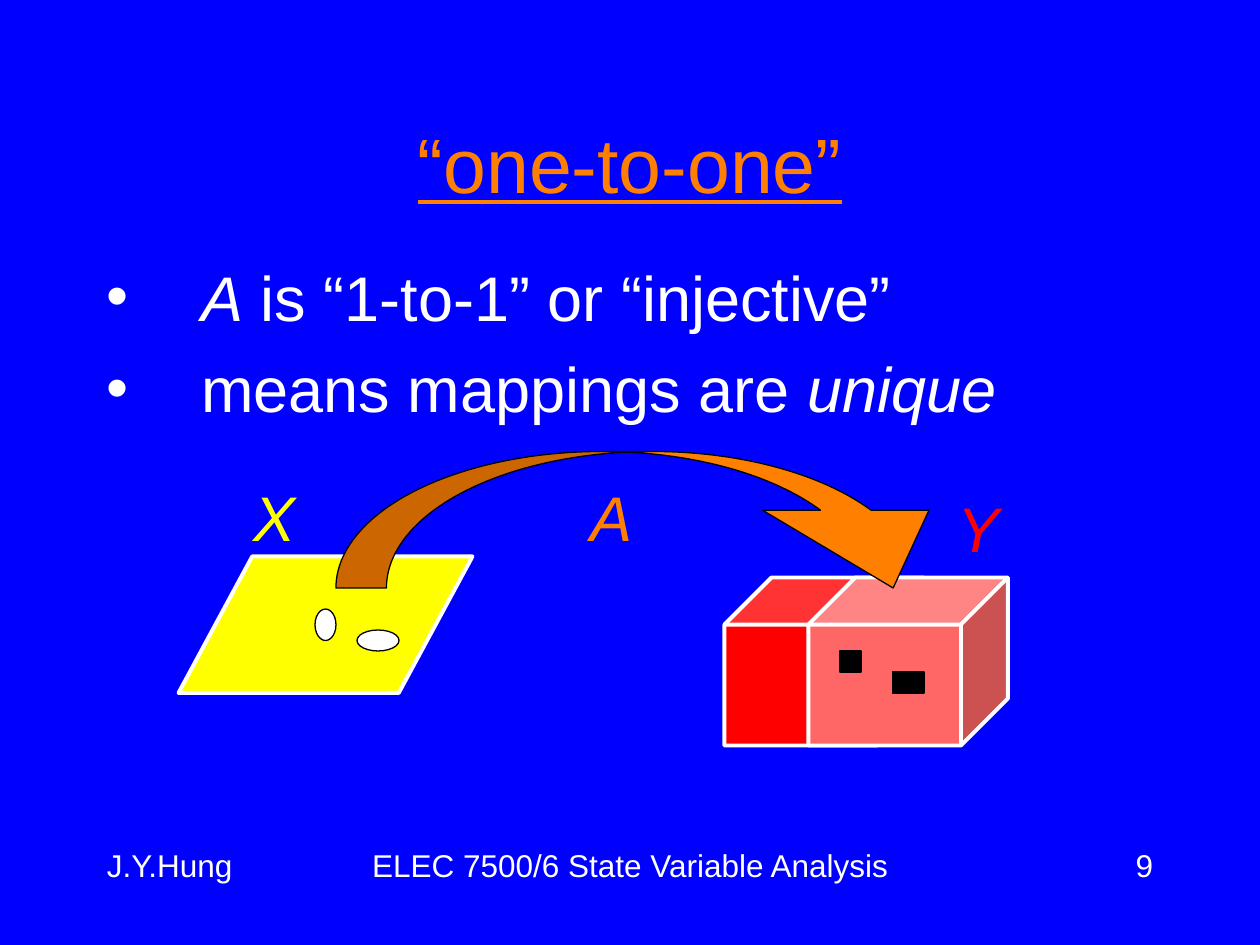
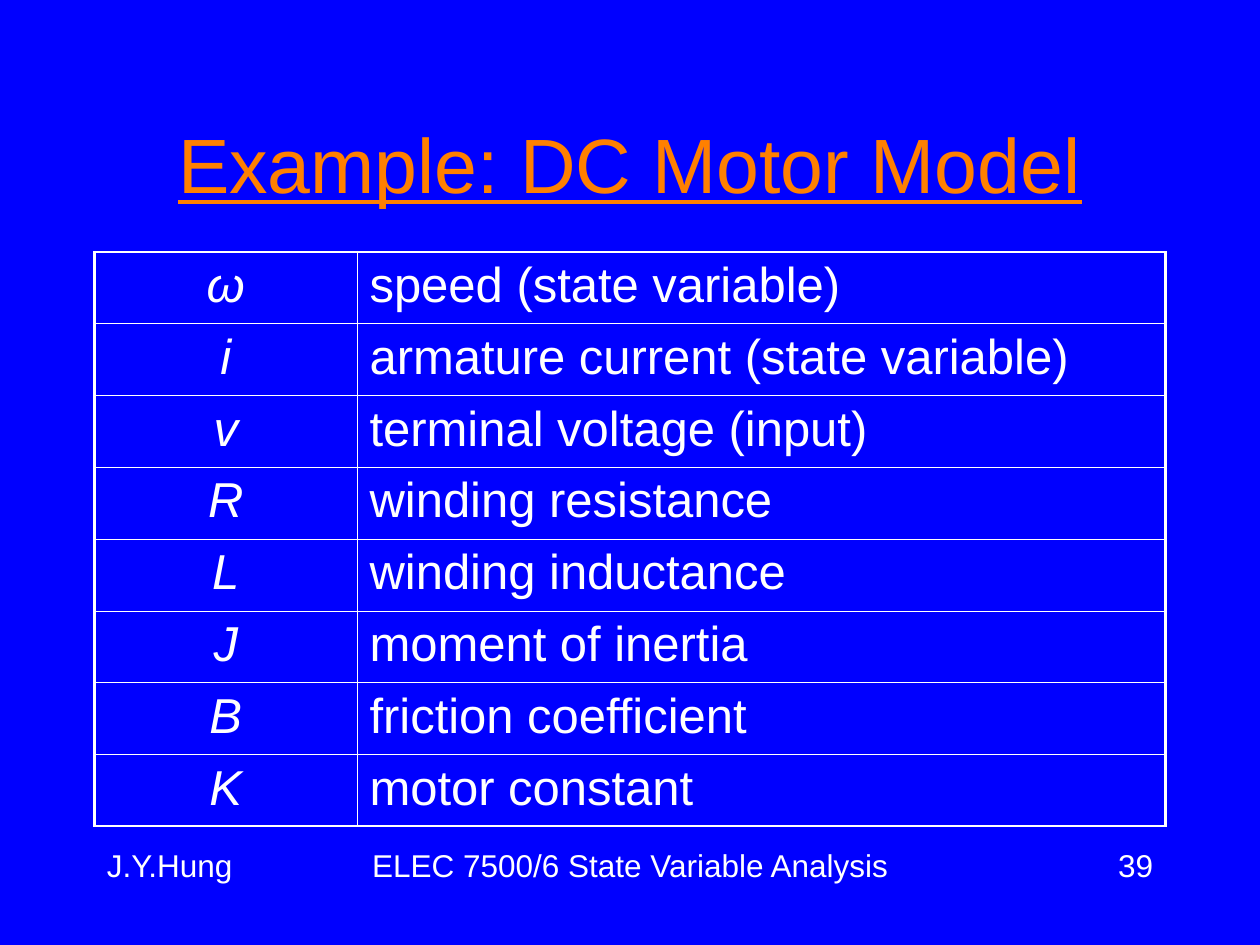
"""Build two lecture slides: an injective mapping diagram and a motor symbol table."""
from dataclasses import dataclass

from lxml import etree
from pptx import Presentation
from pptx import util as u
from pptx.dml.color import RGBColor
from pptx.enum import shapes, text
from pptx.oxml.ns import qn

Pt = u.Pt
SHAPE = shapes.MSO_SHAPE
LEFT, CENTER, RIGHT = text.PP_ALIGN.LEFT, text.PP_ALIGN.CENTER, text.PP_ALIGN.RIGHT


@dataclass(frozen=True)
class Theme:
    font: str = "Arial"
    blue: str = "0000FF"
    white: str = "FFFFFF"
    black: str = "000000"
    orange: str = "FF8000"
    yellow: str = "FFFF00"
    red: str = "FF0000"
    pink: str = "FF6666"
    title_size: float = 44
    body_size: float = 36
    table_size: float = 28
    footer_size: float = 18
    heavy_line: float = 2.25
    thin_line: float = 0.75
    table_edge: float = 1.47
    table_rule: float = 0.45


THEME = Theme()
MARGIN = 54
CONTENT_WIDTH = 612
CONTENT_TOP = 144
BULLETS = [
    [("A", True), (" is “1-to-1” or “injective”", False)],
    [("means mappings are ", False), ("unique", True)],
]
SYMBOLS = [
    ("ω", "speed (state variable)"),
    ("i", "armature current (state variable)"),
    ("v", "terminal voltage (input)"),
    ("R", "winding resistance"),
    ("L", "winding inductance"),
    ("J", "moment of inertia"),
    ("B", "friction coefficient"),
    ("K", "motor constant"),
]


def color(value):
    return RGBColor.from_string(value)


def format_span(span, size, fill=THEME.white, italic=False, underline=False):
    span.font.name = THEME.font
    span.font.size = Pt(size)
    span.font.color.rgb = color(fill)
    span.font.italic = italic
    span.font.underline = underline


def add_box(page, left, top, width, height, wrap=True):
    box = page.shapes.add_textbox(Pt(left), Pt(top), Pt(width), Pt(height))
    box.text_frame.word_wrap = wrap
    return box.text_frame


def add_label(page, words, bounds, size, fill=THEME.white, align=LEFT, wrap=True, **style):
    frame = add_box(page, *bounds, wrap=wrap)
    frame.text = words
    para = frame.paragraphs[0]
    para.alignment = align
    format_span(para.runs[0], size, fill, **style)
    return frame


def add_page(deck, title, number):
    page = deck.slides.add_slide(deck.slide_layouts[6])
    frame = add_label(page, title, (MARGIN, 48, CONTENT_WIDTH, 90), THEME.title_size,
                      THEME.orange, CENTER, underline=True)
    frame.vertical_anchor = text.MSO_ANCHOR.MIDDLE
    footers = [
        ("J.Y.Hung", MARGIN, 90, LEFT),
        ("ELEC 7500/6 State Variable Analysis", 168, 384, CENTER),
        (str(number), 612, 54, RIGHT),
    ]
    for words, left, width, align in footers:
        add_label(page, words, (left, 480, width, 36), THEME.footer_size, align=align)
    return page


def add_bullets(page, items):
    frame = add_box(page, MARGIN, CONTENT_TOP, CONTENT_WIDTH, 324)
    for index, spans in enumerate(items):
        para = frame.add_paragraph() if index else frame.paragraphs[0]
        properties = para._p.get_or_add_pPr()
        properties.set("marL", str(Pt(54)))
        properties.set("indent", str(-Pt(54)))
        etree.SubElement(properties, qn("a:buFont"), typeface=THEME.font)
        etree.SubElement(properties, qn("a:buChar"), char="•")
        if index:
            para.space_before = Pt(9)
        for words, italic in spans:
            span = para.add_run()
            span.text = words
            format_span(span, THEME.body_size, italic=italic)


def add_figure(page, kind, bounds, fill, line, width, adjustments=()):
    figure = page.shapes.add_shape(kind, *map(Pt, bounds))
    figure.shadow.inherit = False
    figure.fill.solid()
    figure.fill.fore_color.rgb = color(fill)
    figure.line.color.rgb = color(line)
    figure.line.width = Pt(width)
    for index, value in enumerate(adjustments):
        figure.adjustments[index] = value


def add_mapping(page):
    """Draw the arrow A that carries points of plane X into the block Y."""
    t = THEME
    for left, fill in ((414, t.red), (462, t.pink)):
        add_figure(page, SHAPE.CUBE, (left, 330, 114, 96), fill, t.white, t.heavy_line, [0.28])
    add_figure(page, SHAPE.PARALLELOGRAM, (102, 318, 168, 78), t.yellow, t.white,
               t.heavy_line, [0.54])
    add_figure(page, SHAPE.CURVED_DOWN_ARROW, (192, 258, 366, 78), t.orange, t.black,
               t.thin_line, [0.37, 1.22, 0.57])
    for name, left, top, fill in (("X", 138, 270, t.yellow), ("Y", 540, 276, t.red),
                                  ("A", 330.5, 270, t.orange)):
        add_label(page, name, (left, top, 38.4, 50.4), t.body_size, fill,
                  wrap=False, italic=True)
    for bounds in ((180, 348, 12, 18), (204, 360, 24, 12)):
        add_figure(page, SHAPE.OVAL, bounds, t.white, t.black, t.thin_line)
    for bounds in ((480, 372, 12, 12), (510, 384, 18, 12)):
        add_figure(page, SHAPE.RECTANGLE, bounds, t.black, t.black, t.thin_line)


def set_borders(cell, outer_sides):
    properties = cell._tc.get_or_add_tcPr()
    for index, side in enumerate("LRTB"):
        width = THEME.table_edge if side in outer_sides else THEME.table_rule
        line = etree.Element(qn(f"a:ln{side}"), w=str(Pt(width)))
        fill = etree.SubElement(line, qn("a:solidFill"))
        etree.SubElement(fill, qn("a:srgbClr"), val=THEME.white)
        properties.insert(index, line)


def add_symbol_table(page, rows):
    row_height = 41.04
    table = page.shapes.add_table(len(rows), 2, Pt(MARGIN), Pt(CONTENT_TOP),
                                  Pt(CONTENT_WIDTH), Pt(row_height * len(rows))).table
    table.first_row = table.horz_banding = False
    for column, width in zip(table.columns, (150, 462)):
        column.width = Pt(width)
    for r, row in enumerate(rows):
        table.rows[r].height = Pt(row_height)
        for c, words in enumerate(row):
            cell = table.cell(r, c)
            cell.text = words
            cell.fill.background()
            para = cell.text_frame.paragraphs[0]
            para.alignment = LEFT if c else CENTER
            format_span(para.runs[0], THEME.table_size, italic=c == 0)
            outer_sides = "R" if c else "L"
            if r == 0:
                outer_sides += "T"
            if r == len(rows) - 1:
                outer_sides += "B"
            set_borders(cell, outer_sides)


def main():
    deck = Presentation()
    deck.slide_width, deck.slide_height = Pt(720), Pt(540)
    background = deck.slide_master.background.fill
    background.solid()
    background.fore_color.rgb = color(THEME.blue)

    page = add_page(deck, "“one-to-one”", 9)
    add_bullets(page, BULLETS)
    add_mapping(page)

    page = add_page(deck, "Example: DC Motor Model", 39)
    add_symbol_table(page, SYMBOLS)
    deck.save("out.pptx")


if __name__ == "__main__":
    main()
